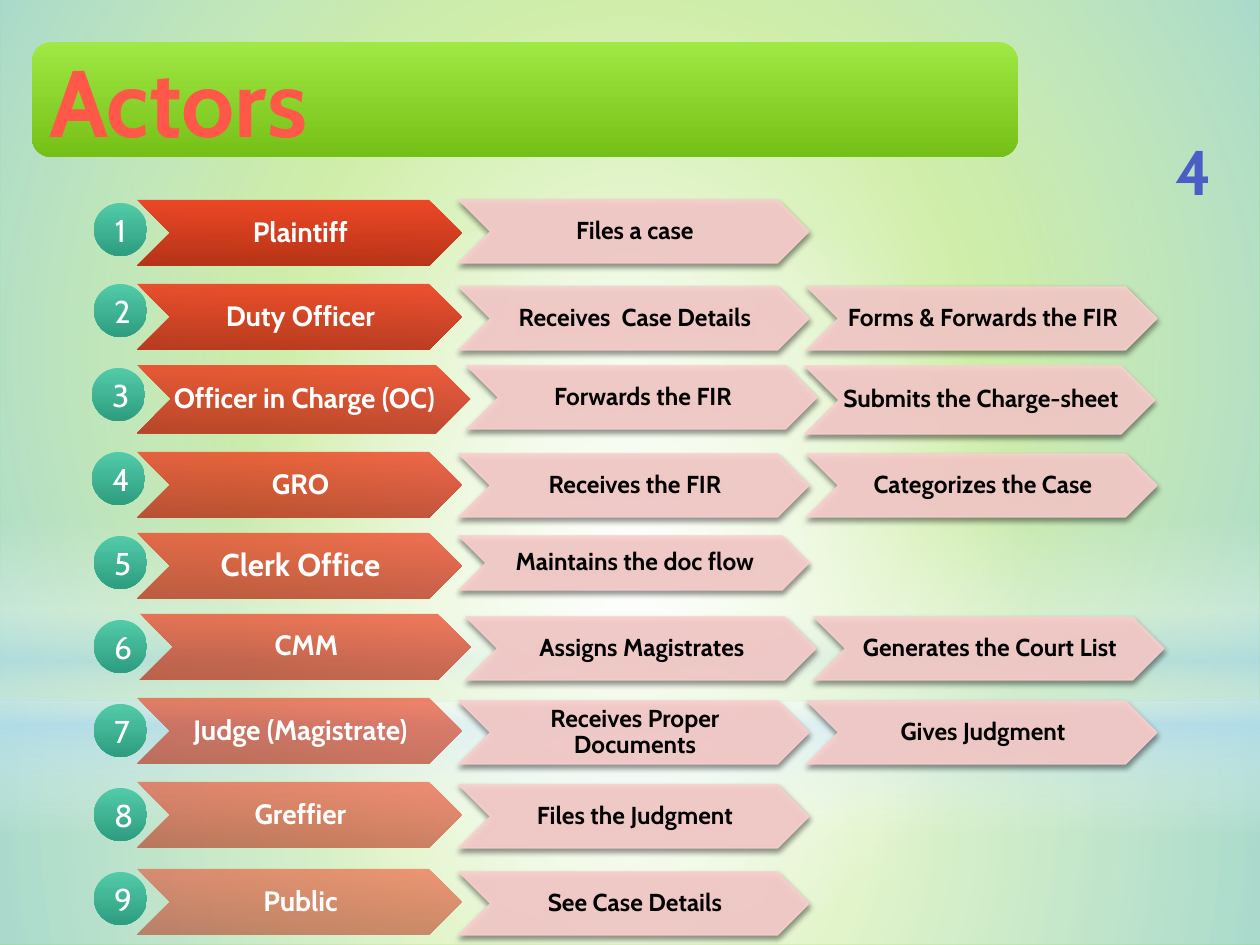
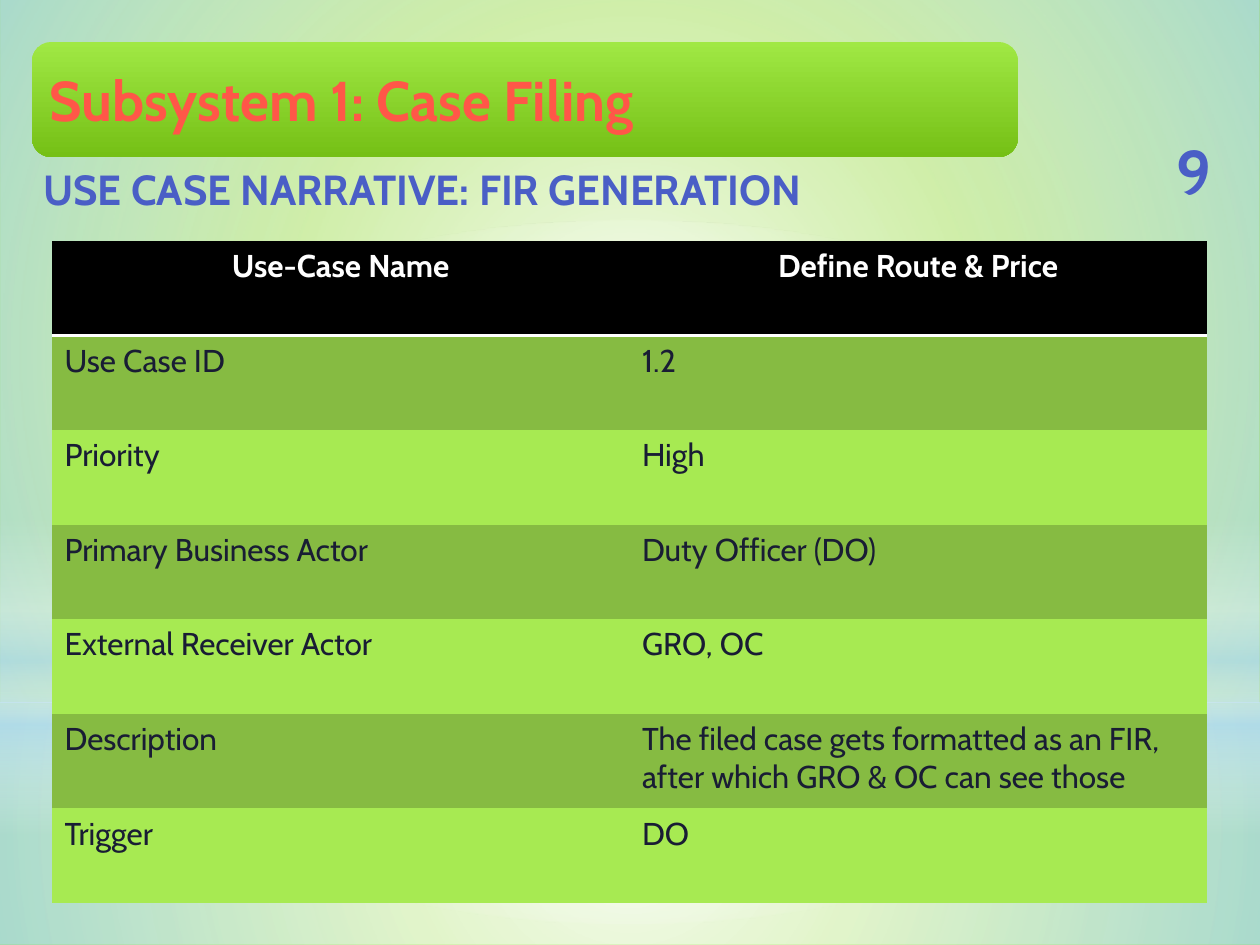
"""Builds two slides of a court case system: its actors and a use case narrative."""
from dataclasses import dataclass

from pptx import Presentation
from pptx.dml.color import RGBColor
from pptx.enum.shapes import MSO_SHAPE
from pptx.enum.text import MSO_ANCHOR, MSO_AUTO_SIZE, PP_ALIGN
from pptx.oxml import parse_xml
from pptx.oxml.ns import nsdecls, qn
from pptx.util import Pt

PX = 914400 // 126
PAGE_WIDTH, PAGE_HEIGHT = 1260, 945
BAND_BOX = (32, 42, 986, 115)
NUMBER_BOX = (1145, 136, 98, 68)
SUBTITLE_BOX = (31, 157, 798, 63)
TABLE_BOX = (52, 241, 1155, 662)
TASK_WIDTH = 350
BADGE_TOP, BADGE_PITCH, BADGE_SIZE = 200, 84, 53
NO_STYLE_NO_GRID = "{2D5ABB26-0587-4C30-8999-92F81FD0307C}"


@dataclass(frozen=True)
class Theme:
    font: str = "Cabin"
    white: str = "FFFFFF"
    black: str = "000000"
    sky: str = "B4DCFA"
    meadow: str = "81D31A"
    band_top: str = "A0E844"
    band_bottom: str = "75C016"
    title: str = "FF5748"
    accent: str = "4A5EC6"
    actor_top: str = "F03617"
    actor_bottom: str = "B52007"
    task: str = "FACFCD"
    badge_top: str = "52CBA9"
    badge_bottom: str = "2E9D7F"
    cell_text: str = "191D34"
    row_dark: str = "86BB42"
    row_light: str = "A7EA52"
    long_title_size: int = 32
    short_title_size: int = 54
    number_size: int = 36
    subtitle_size: int = 24
    body_size: int = 18
    actor_size: int = 16
    task_size: int = 14


theme = Theme()


@dataclass(frozen=True)
class Actor:
    name: str
    top: int
    tasks: tuple
    left: int = 137
    width: int = 325
    height: int = 66
    size: int = theme.actor_size
    task_left: int = 459
    task_step: int = 348
    task_drop: int = 3
    task_heights: tuple = (63, 63)
    badge_left: int = 94
    badge_drop: int = 0


def write(frame, text, size=theme.body_size, colour=theme.white, bold=False,
          align=PP_ALIGN.LEFT, anchor=None, margins=None, spacing=None):
    frame.word_wrap = True
    if anchor is not None:
        frame.vertical_anchor = anchor
    if margins:
        frame.margin_left, frame.margin_top, frame.margin_right, frame.margin_bottom = (
            side * PX for side in margins)
    para = frame.paragraphs[0]
    para.alignment = align
    para.line_spacing = spacing
    span = para.add_run()
    span.text = text
    span.font.name = theme.font
    span.font.size = Pt(size)
    span.font.bold = bold
    span.font.color.rgb = RGBColor.from_string(colour)


def draw(page, kind, box, stops, radial=False):
    shape = page.shapes.add_shape(kind, *(length * PX for length in box))
    shape.shadow.inherit = False
    shape.line.fill.background()
    shape.fill.gradient()
    marks = "".join(
        f'<a:gs pos="{place * 1000}"><a:srgbClr val="{colour}">'
        f'<a:alpha val="{alpha * 1000}"/></a:srgbClr></a:gs>'
        for place, colour, alpha in stops)
    course = ('<a:path path="circle"><a:fillToRect l="50000" t="50000" r="50000" b="50000"/></a:path>'
              if radial else '<a:lin ang="5400000" scaled="0"/>')
    properties = shape.element.spPr
    properties.replace(properties.find(qn("a:gradFill")), parse_xml(
        f'<a:gradFill {nsdecls("a")} rotWithShape="1"><a:gsLst>{marks}</a:gsLst>{course}</a:gradFill>'))
    return shape


deck = Presentation()
deck.slide_width, deck.slide_height = PAGE_WIDTH * PX, PAGE_HEIGHT * PX
layout = deck.slide_layouts[5]
layout.background.fill.solid()
layout.background.fill.fore_color.rgb = RGBColor.from_string(theme.meadow)

pages = []
for title, title_size, number in (("Actors", theme.short_title_size, "4"),
                                  ("Subsystem 1: Case Filing", theme.long_title_size, "9")):
    page = deck.slides.add_slide(layout)
    heading = page.shapes.title
    heading.left, heading.top, heading.width, heading.height = (length * PX for length in BAND_BOX)
    heading.text_frame.auto_size = MSO_AUTO_SIZE.NONE
    write(heading.text_frame, title, size=title_size, colour=theme.title, bold=True,
          anchor=MSO_ANCHOR.MIDDLE, margins=(17, 6, 17, 6))
    number_box = page.shapes.add_textbox(*(length * PX for length in NUMBER_BOX))
    write(number_box.text_frame, number, size=theme.number_size, colour=theme.accent, bold=True,
          align=PP_ALIGN.CENTER, anchor=MSO_ANCHOR.MIDDLE)
    pages.append(page)
actors_page, narrative_page = pages

horizon = 703
backdrop = (
    (MSO_SHAPE.RECTANGLE, (0, horizon, PAGE_WIDTH, PAGE_HEIGHT - horizon), True,
     ((0, theme.white, 91), (37, theme.white, 76), (100, theme.sky, 79))),
    (MSO_SHAPE.RECTANGLE, (0, 0, PAGE_WIDTH, horizon), True,
     ((0, theme.white, 89), (48, theme.white, 62), (100, theme.sky, 79))),
    (MSO_SHAPE.RECTANGLE, (0, 519, PAGE_WIDTH, 315), False,
     ((0, theme.white, 0), (29, theme.white, 30), (45, theme.sky, 40),
      (55, theme.white, 26), (65, theme.sky, 60), (100, theme.white, 0))),
    (MSO_SHAPE.OVAL, (0, 221, PAGE_WIDTH, 703), True,
     ((0, theme.white, 100), (56, theme.white, 0))),
    (MSO_SHAPE.ROUNDED_RECTANGLE, BAND_BOX, False,
     ((0, theme.band_top, 100), (100, theme.band_bottom, 100))),
)
layout_tree = layout.shapes.element
for order, (kind, box, radial, stops) in enumerate(backdrop):
    panel = draw(actors_page, kind, box, stops, radial=radial).element
    panel.nvSpPr.cNvPr.set("id", str(101 + order))
    layout_tree.insert(2 + order, panel)

actors = (
    Actor("Plaintiff", 200, ("Files a case",), task_drop=0, badge_drop=3),
    Actor("Duty Officer", 284, ("Receives  Case Details", "Forms & Forwards the FIR")),
    Actor("Officer in Charge (OC)", 365, ("Forwards the FIR", "Submits the Charge-sheet"),
          width=333, height=68, task_left=467, task_step=338, task_drop=1,
          task_heights=(63, 68), badge_left=92),
    Actor("GRO", 452, ("Receives the FIR", "Categorizes the Case"), task_drop=2, badge_left=92),
    Actor("Clerk Office", 533, ("Maintains the doc flow",), size=18, task_heights=(54,)),
    Actor("CMM", 614, ("Assigns Magistrates", "Generates the Court List"),
          left=140, width=331, task_left=466),
    Actor("Judge (Magistrate)", 698, ("Receives Proper Documents", "Gives Judgment")),
    Actor("Greffier", 782, ("Files the Judgment",)),
    Actor("Public", 869, ("See Case Details",)),
)
arrow_label = dict(bold=True, align=PP_ALIGN.CENTER, anchor=MSO_ANCHOR.MIDDLE,
                   margins=(2, 1, 0, 1), spacing=0.9)
task_shadow = (
    f'<a:outerShdw {nsdecls("a")} blurRad="{Pt(3.1)}" dist="{Pt(1.8)}" dir="5400000" rotWithShape="0">'
    f'<a:srgbClr val="{theme.black}"><a:alpha val="45000"/></a:srgbClr></a:outerShdw>')

for row, actor in enumerate(actors):
    alpha = 90 - 5 * row
    actor_arrow = draw(actors_page, MSO_SHAPE.CHEVRON,
                       (actor.left, actor.top, actor.width, actor.height),
                       ((0, theme.actor_top, alpha), (100, theme.actor_bottom, alpha)))
    write(actor_arrow.text_frame, actor.name, size=actor.size, **arrow_label)

    for column, (task, height) in enumerate(zip(actor.tasks, actor.task_heights)):
        left = actor.task_left + column * actor.task_step
        task_arrow = draw(actors_page, MSO_SHAPE.CHEVRON,
                          (left, actor.top + actor.task_drop, TASK_WIDTH, height),
                          ((0, theme.task, 90), (100, theme.task, 90)))
        task_arrow.line.color.rgb = RGBColor.from_string(theme.task)
        task_arrow.line.width = Pt(0.75)
        properties = task_arrow.element.spPr
        outline_colour = properties.find(f'{qn("a:ln")}//{qn("a:srgbClr")}')
        outline_colour.append(parse_xml(f'<a:alpha {nsdecls("a")} val="90000"/>'))
        properties.find(qn("a:effectLst")).append(parse_xml(task_shadow))
        write(task_arrow.text_frame, task, size=theme.task_size, colour=theme.black, **arrow_label)

    badge_top = BADGE_TOP + BADGE_PITCH * row + actor.badge_drop
    badge = draw(actors_page, MSO_SHAPE.OVAL, (actor.badge_left, badge_top, BADGE_SIZE, BADGE_SIZE),
                 ((0, theme.badge_top, 100), (100, theme.badge_bottom, 100)))
    write(badge.text_frame, str(row + 1), align=PP_ALIGN.CENTER, anchor=MSO_ANCHOR.MIDDLE)

subtitle = narrative_page.shapes.add_textbox(*(length * PX for length in SUBTITLE_BOX))
write(subtitle.text_frame, "USE CASE NARRATIVE: FIR GENERATION", size=theme.subtitle_size,
      colour=theme.accent, bold=True)

narrative = (
    ("Use-Case Name", "Define Route & Price"),
    ("Use Case ID", "1.2"),
    ("Priority", "High"),
    ("Primary Business Actor", "Duty Officer (DO)"),
    ("External Receiver Actor", "GRO, OC"),
    ("Description", "The filed case gets formatted as an FIR, after which GRO & OC can see those"),
    ("Trigger", "DO"),
)
column_count = len(narrative[0])
table_frame = narrative_page.shapes.add_table(
    len(narrative), column_count, *(length * PX for length in TABLE_BOX))
table_frame.element.find(f'.//{qn("a:tableStyleId")}').text = NO_STYLE_NO_GRID
table = table_frame.table
table.horz_banding = False

header_format = dict(colour=theme.white, bold=True, align=PP_ALIGN.CENTER)
body_format = dict(colour=theme.cell_text)
row_fills = (theme.row_light, theme.row_dark)
for row, texts in enumerate(narrative):
    fill = row_fills[row % 2] if row else theme.black
    text_format = body_format if row else header_format
    for column, text in enumerate(texts):
        cell = table.cell(row, column)
        cell.fill.solid()
        cell.fill.fore_color.rgb = RGBColor.from_string(fill)
        write(cell.text_frame, text, **text_format)

header_rule = (f'<a:lnB {nsdecls("a")} w="{Pt(2)}"><a:solidFill>'
               f'<a:srgbClr val="{theme.white}"/></a:solidFill></a:lnB>')
header_cells = list(table_frame.element.iter(qn("a:tcPr")))[:column_count]
for cell_properties in header_cells:
    cell_properties.insert(0, parse_xml(header_rule))

deck.save("out.pptx")
